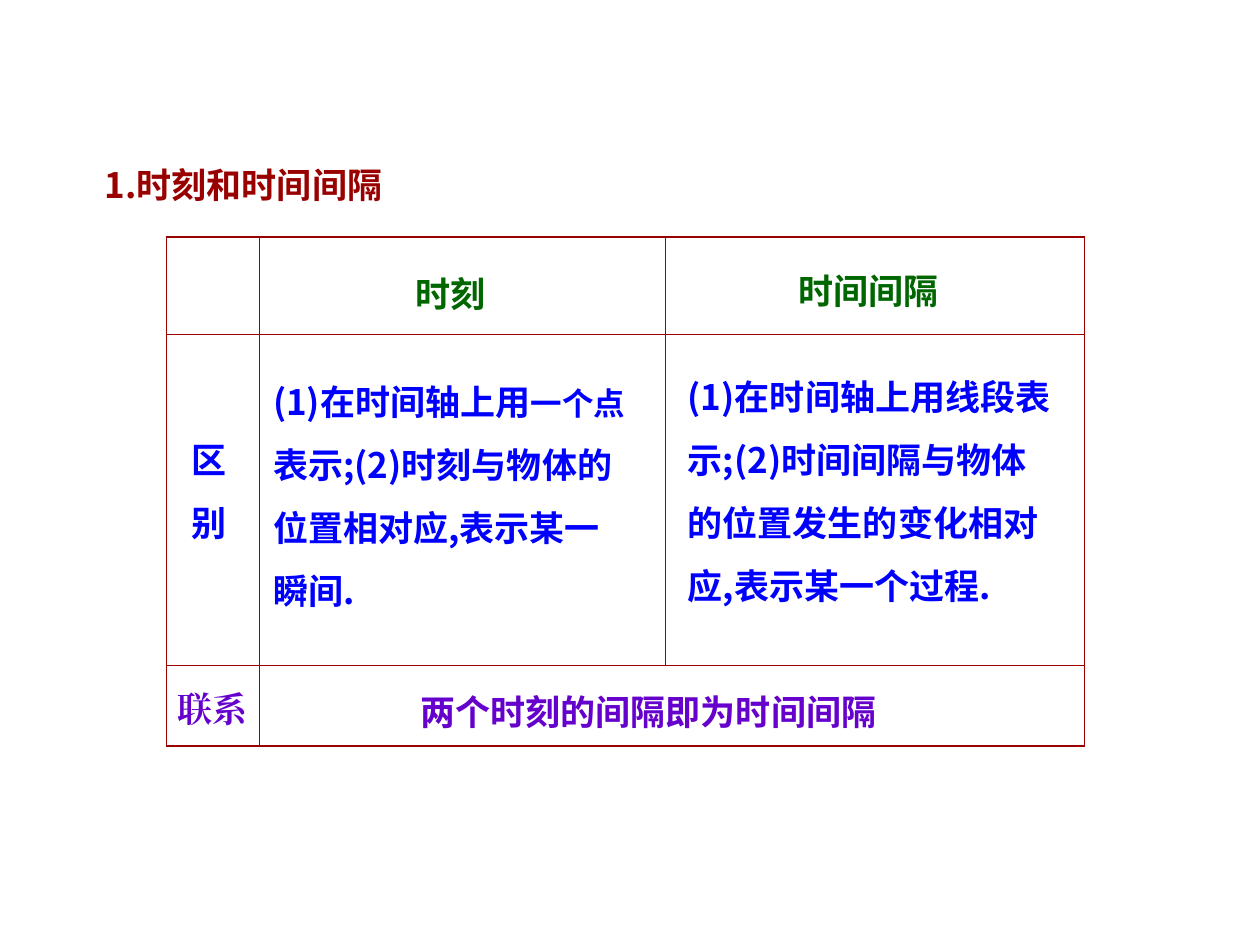
from lxml import etree
from pptx import Presentation
from pptx import util as u
from pptx.dml import color
from pptx.enum import text
from pptx.oxml import ns

SANS = "Noto Sans CJK SC"
SERIF = "Times New Roman"
RED, GREEN, BLUE, PURPLE = "990000", "006600", "0000FF", "6600CC"
COLUMNS = (53.3, 231.8, 239.8)
ROWS = (55.4, 189.4, 46.1)


def rgb(value):
    """Turn a hex string into a colour."""
    return color.RGBColor.from_string(value)


def place(shape, box):
    """Set the left, top, width and height of a shape in points."""
    shape.left, shape.top, shape.width, shape.height = map(u.Pt, box)


def add_span(para, words, size=20, font=SANS, hue=BLUE):
    """Add one bold run with the same Latin and East Asian font."""
    span = para.add_run()
    span.text = words
    span.font.size = u.Pt(size)
    span.font.bold = True
    span.font.color.rgb = rgb(hue)
    span.font.name = font
    latin = span.font._element.find(ns.qn("a:latin"))
    east = etree.Element(ns.qn("a:ea"), typeface=font)
    latin.addnext(east)


def write(shape, lines, **style):
    """Fill a shape with lines, each a string or a list of (words, size) pairs."""
    frame = shape.text_frame
    frame.word_wrap = True
    frame.vertical_anchor = text.MSO_ANCHOR.MIDDLE
    frame.auto_size = text.MSO_AUTO_SIZE.SHAPE_TO_FIT_TEXT
    for number, line in enumerate(lines):
        para = frame.add_paragraph() if number else frame.paragraphs[0]
        para.alignment = text.PP_ALIGN.LEFT
        para.line_spacing = 1.5
        para.space_before = u.Pt(0)
        for words, size in [(line, 20)] if isinstance(line, str) else line:
            add_span(para, words, size=size, **style)


def add_heading(page, box):
    """Place and format the slide title."""
    place(page.shapes.title, box)
    write(page.shapes.title, ["1.时刻和时间间隔"], hue=RED)


def add_border(cell, side, width):
    """Draw one red side of a table cell."""
    line = etree.SubElement(cell._tc.get_or_add_tcPr(), ns.qn(f"a:ln{side}"), w=str(u.Pt(width)))
    fill = etree.SubElement(line, ns.qn("a:solidFill"))
    etree.SubElement(fill, ns.qn("a:srgbClr"), val=RED)


def add_grid(page, left, top):
    """Add the ruled table, with heavier outer sides and a merged last row."""
    table = page.shapes.add_table(
        len(ROWS), len(COLUMNS), u.Pt(left), u.Pt(top), u.Pt(sum(COLUMNS)), u.Pt(sum(ROWS))
    ).table
    table.first_row = table.horz_banding = False
    for column, width in zip(table.columns, COLUMNS):
        column.width = u.Pt(width)
    for row, height in zip(table.rows, ROWS):
        row.height = u.Pt(height)
    last_row, last_column = len(ROWS) - 1, len(COLUMNS) - 1
    for r in range(len(ROWS)):
        for c in range(len(COLUMNS)):
            cell = table.cell(r, c)
            heavy = {
                "L": c == 0 or r == last_row,
                "R": c == last_column or r == last_row,
                "T": r == 0,
                "B": r == last_row,
            }
            for side, is_heavy in heavy.items():
                add_border(cell, side, 0.75 if is_heavy else 0.45)
            cell.fill.background()
    table.cell(last_row, 1).merge(table.cell(last_row, last_column))


def add_entries(page, left, top):
    """Place the table wording relative to the table's corner."""
    entries = [
        ((135.4, 5, 80, 43.2), ["时刻"], {"hue": GREEN}),
        ((354.2, 2.9, 126.7, 43.2), ["时间间隔"], {"hue": GREEN}),
        ((7.2, 99.4, 58.3, 79.2), ["区", "别"], {}),
        ((-0.7, 241.9, 80, 43.2), ["联系"], {"hue": PURPLE, "font": SERIF}),
        ((138.2, 243.4, 345.6, 43.2), ["两个时刻的间隔即为时间间隔"], {"hue": PURPLE}),
        ((54, 66.2, 266.4, 151.2), [
            [("(1)在时间轴上用", 20), ("一个点", 18)],
            "表示;(2)时刻与物体的",
            "位置相对应,表示某一",
            "瞬间.",
        ], {}),
        ((290.9, 63.4, 267.8, 151.2), [
            "(1)在时间轴上用线段表",
            "示;(2)时间间隔与物体",
            "的位置发生的变化相对",
            "应,表示某一个过程.",
        ], {}),
    ]
    for (x, y, width, height), lines, style in entries:
        shape = page.shapes.add_textbox(0, 0, 0, 0)
        place(shape, (left + x, top + y, width, height))
        write(shape, lines, **style)


def main():
    """Build and save the slide."""
    deck = Presentation()
    deck.slide_width, deck.slide_height = u.Pt(720), u.Pt(540)
    page = deck.slides.add_slide(deck.slide_layouts[5])
    add_heading(page, (52.6, 77.8, 252.7, 43.2))
    add_grid(page, 95, 135.4)
    add_entries(page, 95, 135.4)
    deck.save("out.pptx")


if __name__ == "__main__":
    main()
